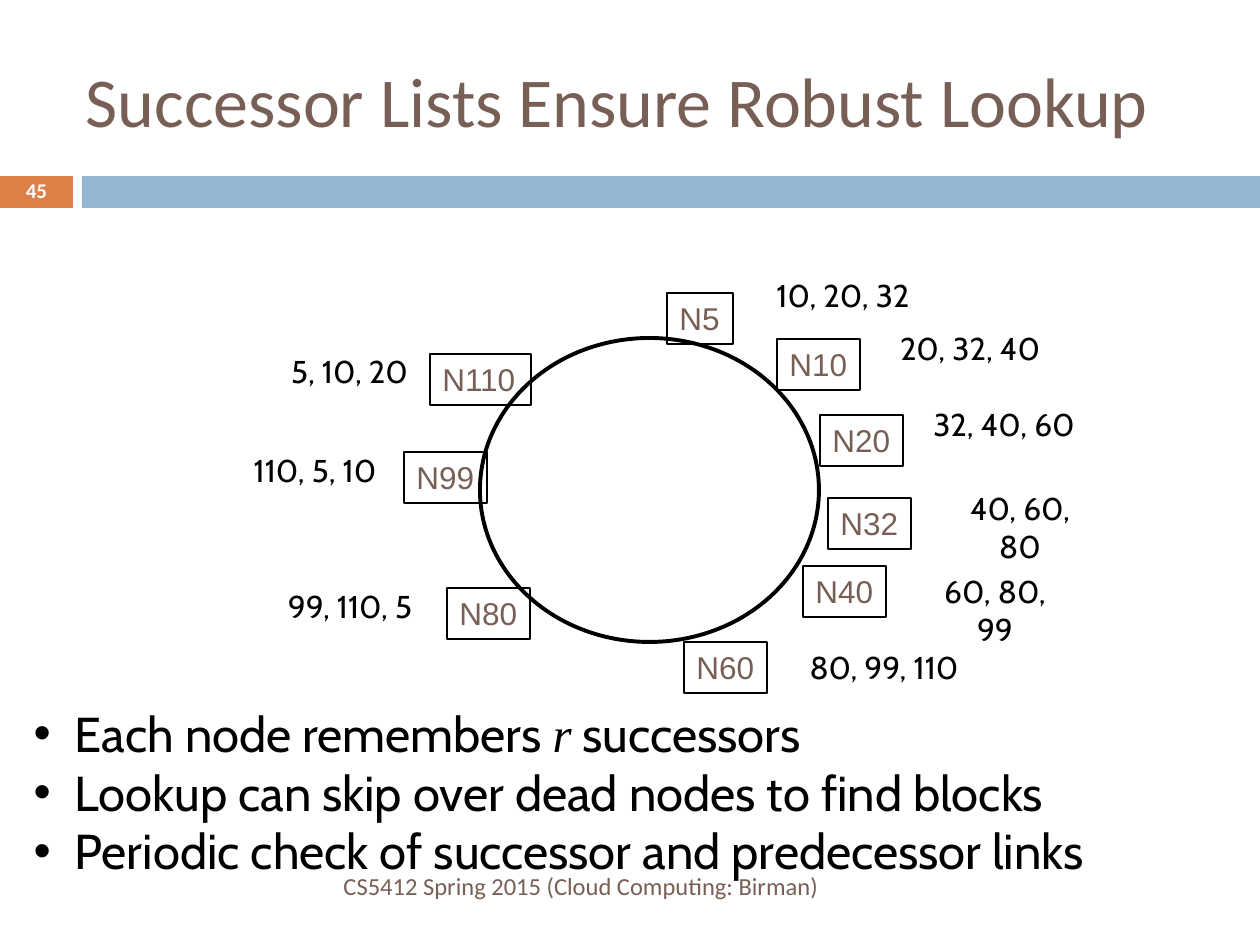
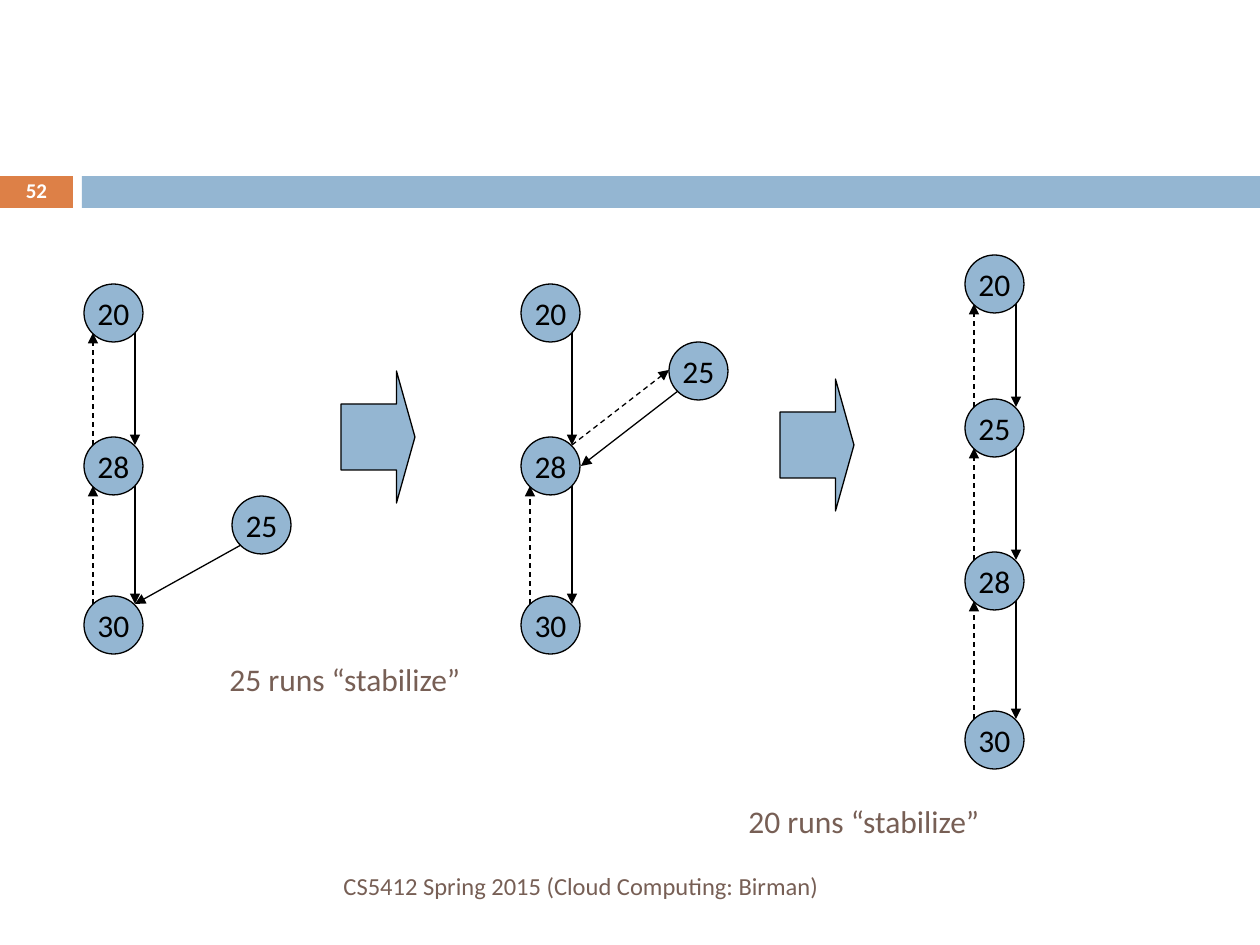
import lxml.etree
import pptx
import pptx.dml.color
import pptx.enum.dml
import pptx.enum.shapes
import pptx.enum.text
import pptx.oxml.ns
import pptx.util

PX = 914400 / 126
COLORS = {"brown": "775F55", "blue": "94B6D2", "orange": "DD8047",
          "black": "000000", "white": "FFFFFF"}
RGB = {name: pptx.dml.color.RGBColor.from_string(c) for name, c in COLORS.items()}
SHAPE = pptx.enum.shapes.MSO_SHAPE
ALIGN = pptx.enum.text.PP_ALIGN
ANCHOR = pptx.enum.text.MSO_ANCHOR
qn = pptx.oxml.ns.qn


def add_box(s, kind, box, text="", font="Calibri", size=18, color="brown",
            fill=None, line=None, align=ALIGN.LEFT, anchor=ANCHOR.TOP, wrap=False):
    """Add a preset shape, or a text box when kind is None; box is in px."""
    box = [round(v * PX) for v in box]
    if kind is None:
        sp = s.shapes.add_textbox(*box)
    else:
        sp = s.shapes.add_shape(kind, *box)
        sp.shadow.inherit = False
        if fill:
            sp.fill.solid()
            sp.fill.fore_color.rgb = RGB[fill]
        else:
            sp.fill.background()
        if line:
            sp.line.color.rgb = RGB["black"]
            sp.line.width = pptx.util.Pt(line)
        else:
            sp.line.fill.background()
    tf = sp.text_frame
    tf.word_wrap = wrap
    tf.vertical_anchor = anchor
    if text:
        tf.text = text
        p = tf.paragraphs[0]
        p.alignment = align
        f = p.runs[0].font
        f.name, f.size, f.color.rgb = font, pptx.util.Pt(size), RGB[color]
    return sp


def add_arrow(s, x1, y1, x2, y2, dashed=False):
    cx = s.shapes.add_connector(pptx.enum.shapes.MSO_CONNECTOR.STRAIGHT,
                                *[round(v * PX) for v in (x1, y1, x2, y2)])
    cx.line.color.rgb = RGB["black"]
    cx.line.width = pptx.util.Pt(0.75)
    if dashed:
        cx.line.dash_style = pptx.enum.dml.MSO_LINE.DASH
    ln = cx.line._get_or_add_ln()
    lxml.etree.SubElement(ln, qn("a:tailEnd"), type="triangle")
    lxml.etree.SubElement(ln.getparent(), qn("a:effectLst"))


prs = pptx.Presentation()
prs.slide_width, prs.slide_height = round(1260 * PX), round(945 * PX)
ring = prs.slides.add_slide(prs.slide_layouts[1])
stabilize = prs.slides.add_slide(prs.slide_layouts[6])

# Shared band, page number and footer
for s, number in ((ring, "45"), (stabilize, "52")):
    add_box(s, SHAPE.RECTANGLE, (82, 176, 1178, 32), fill="blue")
    sp = add_box(s, SHAPE.RECTANGLE, (0, 176, 73, 32), number, size=12, color="white",
                 fill="orange", align=ALIGN.CENTER, anchor=ANCHOR.MIDDLE, wrap=True)
    p = sp.text_frame.paragraphs[0]
    p.line_spacing = 0.8
    p.runs[0].font.bold = True
    add_box(s, None, (84, 861, 747, 50), "CS5412 Spring 2015 (Cloud Computing: Birman)",
            size=14, align=ALIGN.RIGHT, anchor=ANCHOR.MIDDLE, wrap=True)

# Successor lists: title and bullets
title, body = ring.shapes.title, ring.placeholders[1]
for sp, box in ((title, (73, 21, 1124, 158)), (body, (21, 697, 1197, 189))):
    sp.left, sp.top, sp.width, sp.height = [round(v * PX) for v in box]
    sp.text_frame.auto_size = pptx.enum.text.MSO_AUTO_SIZE.NONE
title.text_frame.text = "Successor Lists Ensure Robust Lookup"
title.text_frame.vertical_anchor = ANCHOR.MIDDLE
p = title.text_frame.paragraphs[0]
p.alignment = ALIGN.LEFT
f = p.runs[0].font
f.name, f.size, f.color.rgb = "Calibri", pptx.util.Pt(40), RGB["brown"]

bullets = [
    ["Each node remembers ", "r", " successors"],
    ["Lookup can skip over dead nodes to find blocks"],
    ["Periodic check of successor and predecessor links"],
]
tf = body.text_frame
for i, parts in enumerate(bullets):
    p = tf.paragraphs[0] if i == 0 else tf.add_paragraph()
    pPr = p._p.get_or_add_pPr()
    pPr.set("marL", str(round(41 * PX)))
    pPr.set("indent", str(round(-41 * PX)))
    lxml.etree.SubElement(pPr, qn("a:buFont"), typeface="Arial")
    lxml.etree.SubElement(pPr, qn("a:buChar"), char="•")
    p.space_before = pptx.util.Pt(0)
    for part in parts:
        r = p.add_run()
        r.text = part
        variable = part == "r"
        r.font.name = "Times New Roman" if variable else "Cabin"
        r.font.italic = variable
        r.font.size, r.font.color.rgb = pptx.util.Pt(28), RGB["black"]

# Successor lists: the ring; each node with its box and its label's left, top, width
add_box(ring, SHAPE.OVAL, (480, 338, 339, 304), line=2.25)
nodes = [
    ("N5", 667, 293, 66, None, "10, 20, 32", 759, 270, 168),
    ("N10", 777, 339, 83, None, "20, 32, 40", 886, 323, 168),
    ("N20", 820, 415, 83, None, "32, 40, 60", 920, 399, 168),
    ("N32", 828, 498, 83, None, "40, 60, 80", 940, 483, 160),
    ("N40", 803, 566, 83, "white", "60, 80, 99", 915, 566, 160),
    ("N60", 684, 642, 83, "white", "80, 99, 110", 792, 642, 184),
    ("N80", 447, 588, 83, None, "99, 110, 5", 266, 581, 168),
    ("N99", 404, 452, 83, None, "110, 5, 10", 231, 445, 168),
    ("N110", 430, 354, 101, None, "5, 10, 20", 275, 346, 149),
]
for name, x, y, w, fill, successors, lx, ly, lw in nodes:
    add_box(ring, SHAPE.RECTANGLE, (x, y, w, 51), name, "Arial", fill=fill, line=0.75)
    add_box(ring, None, (lx, ly, lw, 51), successors, "Cabin", color="black",
            align=ALIGN.CENTER, wrap=True)

# Stabilize: chains as left edge, (node, top) pairs, and links with a back pointer
chains = [
    (84, [("20", 284), ("28", 437), ("30", 596)], [True, True]),
    (521, [("20", 284), ("28", 437), ("30", 596)], [False, True]),
    (965, [("20", 255), ("25", 399), ("28", 552), ("30", 711)], [True, True, True]),
]
circles = [("25", 232, 496), ("25", 669, 342)]
for x, chain, back in chains:
    circles += [(name, x, y) for name, y in chain]
for name, x, y in circles:
    add_box(stabilize, SHAPE.OVAL, (x, y, 59, 58), name, color="black", fill="blue",
            line=0.75, align=ALIGN.CENTER, anchor=ANCHOR.MIDDLE)
for x, chain, back in chains:
    for (_, upper), (_, lower), has_back in zip(chain, chain[1:], back):
        add_arrow(stabilize, x + 51, upper + 49, x + 51, lower + 8)
        if has_back:
            add_arrow(stabilize, x + 9, lower + 8, x + 9, upper + 49, dashed=True)
add_arrow(stabilize, 241, 545, 135, 604)
add_arrow(stabilize, 678, 391, 581, 466)
add_arrow(stabilize, 572, 445, 669, 370, dashed=True)

steps = [(341, 371, "25 runs “stabilize”", 217, 654),
         (780, 379, "20 runs “stabilize”", 736, 796)]
for x, y, caption, cx, cy in steps:
    sp = add_box(stabilize, SHAPE.RIGHT_ARROW, (x, y, 74, 132), fill="blue", line=0.75)
    sp.adjustments[0], sp.adjustments[1] = 0.5, 0.25
    add_box(stabilize, None, (cx, cy, 287, 51), caption)

prs.save("out.pptx")
